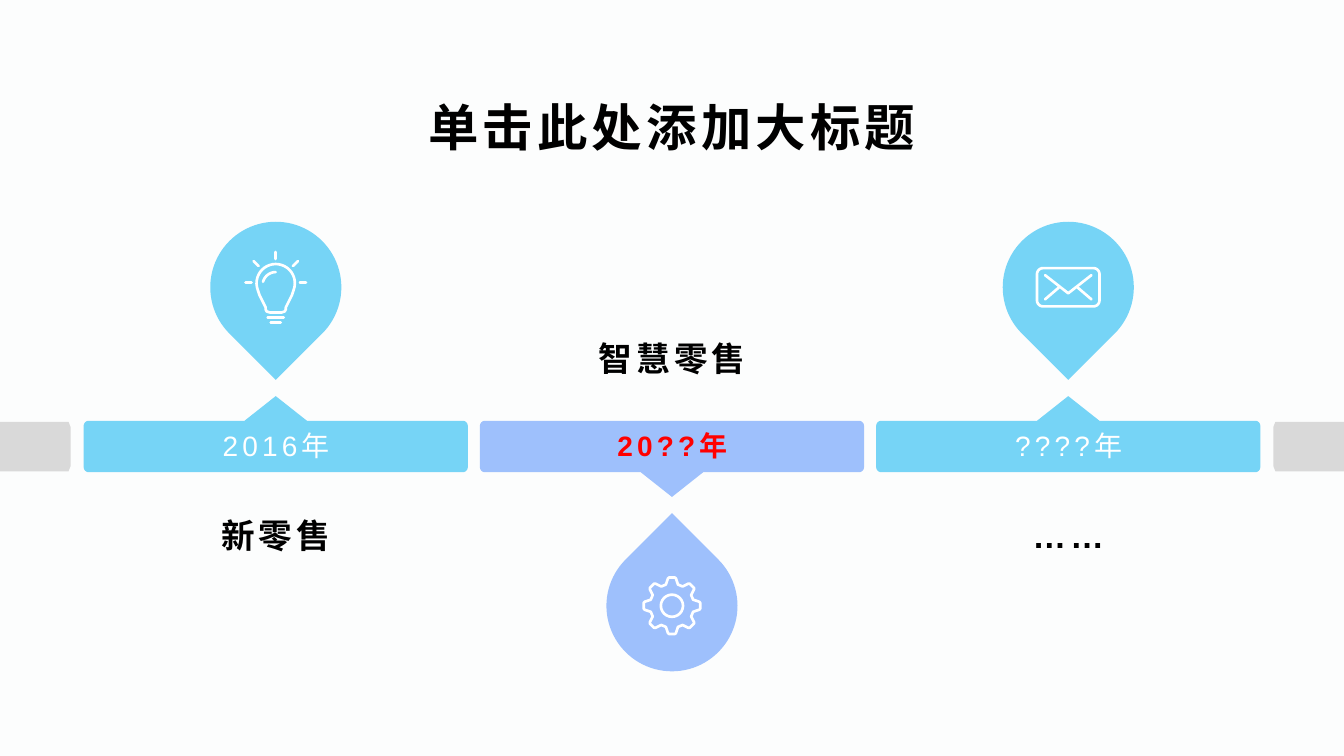
import math

import pptx
import pptx.dml.color
import pptx.enum.shapes
import pptx.enum.text
import pptx.util
from lxml import etree
from pptx.oxml.ns import qn

Inches = pptx.util.Inches
SHAPES = pptx.enum.shapes.MSO_SHAPE
ANCHOR = pptx.enum.text.MSO_ANCHOR

# Content
TITLE = "单击此处添加大标题"
SKY, PERIWINKLE, GREY = "76D4F6", "9EC0FC", "D9D9D9"
WHITE, BLACK, RED, PAPER = "FFFFFF", "000000", "FF0000", "FCFDFD"
STAGES = [
    {"year": "2016年", "label": "新零售", "icon": "bulb", "fill": SKY,
     "ink": WHITE, "bold": False, "up": True},
    {"year": "20??年", "label": "智慧零售", "icon": "gear", "fill": PERIWINKLE,
     "ink": RED, "bold": True, "up": False},
    {"year": "????年", "label": "……", "icon": "envelope", "fill": SKY,
     "ink": WHITE, "bold": False, "up": True},
]

# Layout, in inches
WIDTH, HEIGHT = 13.33, 7.5
STEP = 3.93
BAR_Y, BAR_WIDTH, BAR_HEIGHT, BAR_TIP = 4.43, 3.81, 0.51, 0.5
PIN_SIZE, PIN_OFFSET = 1.3, 1.58
END_WIDTH, END_HEIGHT = 0.7, 0.49


def arc(x, y, radius, start, stop, steps=24):
    """Points along an arc; angles in degrees, clockwise from the right."""
    angles = [math.radians(start + (stop - start) * i / steps)
              for i in range(steps + 1)]
    return [(x + radius * math.cos(a), y + radius * math.sin(a)) for a in angles]


def rounded_box(half_width, half_height, radius):
    corners = [(1, -1, 270), (1, 1, 0), (-1, 1, 90), (-1, -1, 180)]
    return [point for side, level, angle in corners
            for point in arc(side * (half_width - radius),
                             level * (half_height - radius),
                             radius, angle, angle + 90, 6)]


def gear_rim():
    tooth = [(-0.06, -0.21), (-0.04, -0.27), (-0.03, -0.28),
             (0.03, -0.28), (0.04, -0.27), (0.06, -0.21)]
    turns = [math.radians(45 * i) for i in range(8)]
    return [(x * math.cos(a) - y * math.sin(a), x * math.sin(a) + y * math.cos(a))
            for a in turns for x, y in tooth]


# Icon strokes around the centre of the pin: (points, closed)
ICONS = {
    "bulb": [
        ([(-0.1, 0.2), (-0.16, 0.08)] + arc(0, -0.04, 0.19, 160, 380)
         + [(0.16, 0.08), (0.1, 0.2), (0.1, 0.22), (0.09, 0.24), (0.06, 0.25),
            (-0.06, 0.25), (-0.09, 0.24), (-0.1, 0.22)], True),
        (arc(0, -0.02, 0.13, 195, 270), False),
        ([(-0.08, 0.3), (0.08, 0.3)], False),
        ([(-0.05, 0.35), (0.05, 0.35)], False),
        ([(-0.3, -0.05), (-0.24, -0.05)], False),
        ([(0.24, -0.05), (0.3, -0.05)], False),
        ([(0, -0.35), (0, -0.28)], False),
        ([(-0.22, -0.26), (-0.17, -0.21)], False),
        ([(0.22, -0.26), (0.17, -0.21)], False),
    ],
    "gear": [
        (gear_rim(), True),
        (arc(0, 0, 0.11, 0, 360), True),
    ],
    "envelope": [
        (rounded_box(0.31, 0.19, 0.06), True),
        ([(-0.23, -0.12), (0, 0.06), (0.23, -0.12)], False),
        ([(-0.23, 0.12), (-0.09, 0)], False),
        ([(0.23, 0.12), (0.09, 0)], False),
    ],
}


def color(value):
    return pptx.dml.color.RGBColor.from_string(value)


def paint(shape, fill):
    shape.shadow.inherit = False
    shape.fill.solid()
    shape.fill.fore_color.rgb = color(fill)
    shape.line.fill.background()


def add_outline(page, x, y, contours):
    """One freeform from contours given relative to x, y."""
    builder = None
    for points, closed in contours:
        places = [(Inches(x + dx), Inches(y + dy)) for dx, dy in points]
        if builder is None:
            builder = page.shapes.build_freeform(*places[0], scale=1.0)
        else:
            builder.move_to(*places[0])
        builder.add_line_segments(places[1:], close=closed)
    return builder.convert_to_shape()


def add_text(page, place, text, size, ink, bold, spacing=1.1,
             anchor=ANCHOR.TOP, bottom=0.05):
    box = page.shapes.add_textbox(*[Inches(v) for v in place])
    frame = box.text_frame
    frame.word_wrap = True
    frame.vertical_anchor = anchor
    frame.margin_bottom = Inches(bottom)
    para = frame.paragraphs[0]
    para.alignment = pptx.enum.text.PP_ALIGN.CENTER
    para.line_spacing = spacing
    span = para.add_run()
    span.text = text
    span.font.name = "Arial"
    span.font.size = pptx.util.Pt(size)
    span.font.bold = bold
    span.font.color.rgb = color(ink)
    span.font._element.set("spc", "300")


def add_icon(page, x, y, name):
    icon = add_outline(page, x, y, ICONS[name])
    icon.shadow.inherit = False
    icon.fill.background()
    icon.line.color.rgb = color(WHITE)
    icon.line.width = pptx.util.Pt(1.9)
    stroke = icon.line._get_or_add_ln()
    stroke.set("cap", "rnd")
    etree.SubElement(stroke, qn("a:round"))


def add_stage(page, x, stage):
    side = -1 if stage["up"] else 1
    left = x - BAR_WIDTH / 2

    # Pin
    pin_y = BAR_Y + side * PIN_OFFSET
    pin = page.shapes.add_shape(
        SHAPES.TEAR, Inches(x - PIN_SIZE / 2), Inches(pin_y - PIN_SIZE / 2),
        Inches(PIN_SIZE), Inches(PIN_SIZE))
    pin.rotation = 135 if stage["up"] else 315
    paint(pin, stage["fill"])

    # Bar with a pointer towards the pin
    edge = BAR_HEIGHT / 2
    points = rounded_box(BAR_WIDTH / 2, edge, 0.05)
    points += [(-0.31, -edge), (0, -BAR_TIP), (0.31, -edge)]
    bar = add_outline(page, x, BAR_Y, [([(dx, -side * dy) for dx, dy in points], True)])
    paint(bar, stage["fill"])

    # Year, icon and label
    add_text(page, (x - 0.83, 4.17, 1.67, 0.48), stage["year"], 20,
             stage["ink"], stage["bold"])
    add_icon(page, x, pin_y, stage["icon"])
    label_y = 4.97 if stage["up"] else 3.21
    add_text(page, (left, label_y, BAR_WIDTH, 0.54), stage["label"], 24, BLACK, True,
             spacing=1.2, anchor=ANCHOR.BOTTOM, bottom=0)


def add_bar_end(page, x, side):
    """Grey stub from the slide edge at x, reaching inwards."""
    edge = END_HEIGHT / 2
    points = [(0, -edge), (END_WIDTH - 0.02, -edge), (END_WIDTH, 0.05 - edge),
              (END_WIDTH, edge - 0.05), (END_WIDTH - 0.02, edge), (0, edge)]
    stub = add_outline(page, x, BAR_Y, [([(side * dx, dy) for dx, dy in points], True)])
    paint(stub, GREY)


def main():
    deck = pptx.Presentation()
    deck.slide_width, deck.slide_height = Inches(WIDTH), Inches(HEIGHT)
    page = deck.slides.add_slide(deck.slide_layouts[6])
    page.background.fill.solid()
    page.background.fill.fore_color.rgb = color(PAPER)

    add_text(page, (1.4, 0.84, 10.53, 0.77), TITLE, 36, BLACK, True,
             anchor=ANCHOR.MIDDLE)
    for index, stage in enumerate(STAGES):
        add_stage(page, WIDTH / 2 + (index - 1) * STEP, stage)
    add_bar_end(page, 0, 1)
    add_bar_end(page, WIDTH, -1)
    deck.save("out.pptx")


if __name__ == "__main__":
    main()
